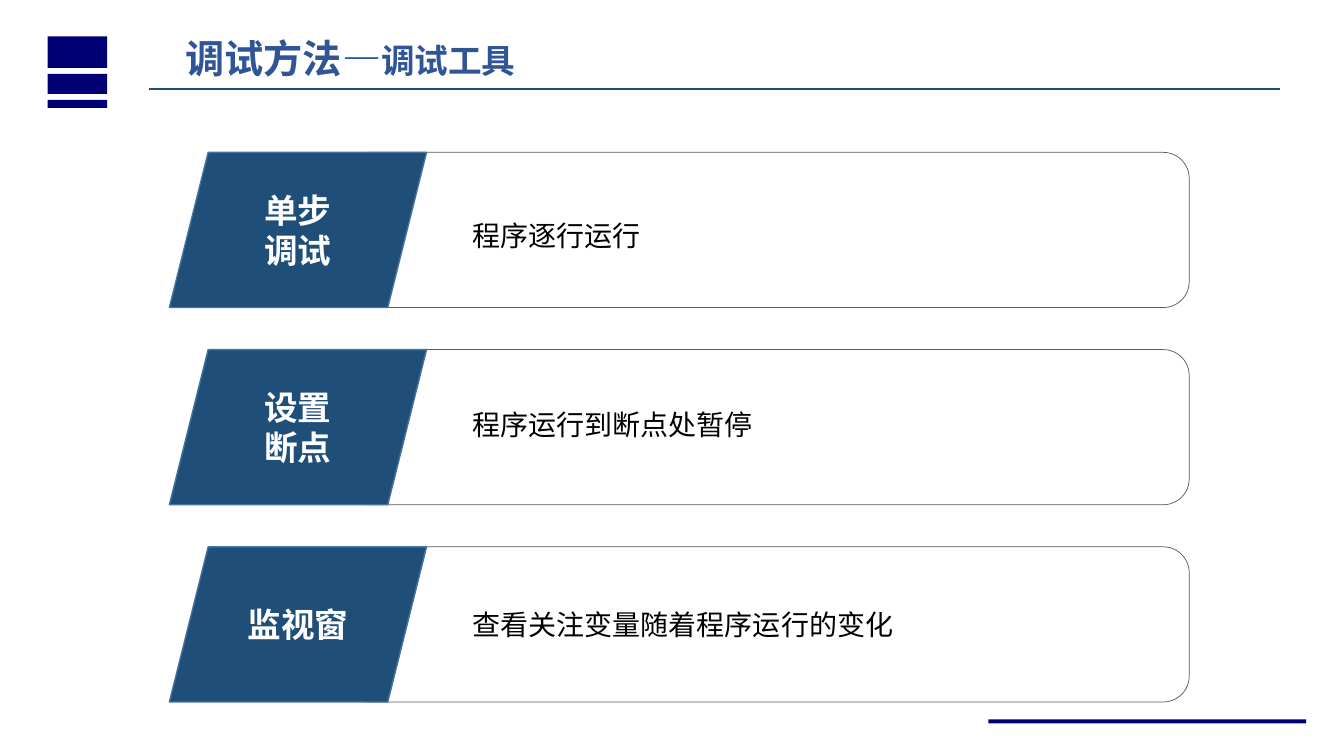
from dataclasses import dataclass

from lxml import etree
from pptx import Presentation
from pptx import util as u
from pptx.dml import color
from pptx.enum import shapes, text
from pptx.oxml import ns


@dataclass(frozen=True)
class Theme:
    font: str = "Noto Sans CJK SC"
    navy: str = "000074"
    title: str = "2F5597"
    tag: str = "1F4E79"
    edge: str = "43739E"
    frame: str = "595959"
    white: str = "FFFFFF"
    black: str = "000000"
    big: int = 28
    mid: int = 24
    body: int = 20


@dataclass(frozen=True)
class Box:
    left: float
    top: float
    width: float
    height: float

    def place(self) -> list:
        return [u.Cm(n) for n in (self.left, self.top, self.width, self.height)]


@dataclass(frozen=True)
class Tool:
    name: tuple
    note: str
    drop: float  # from the row's top to its note
    space: float = 1.0


THEME = Theme()
KIND = shapes.MSO_SHAPE
TOP, PITCH, HIGH = 3.84, 4.97, 3.91

BARS = [
    Box(1.2, 0.92, 1.5, 0.79),
    Box(1.2, 1.86, 1.5, 0.51),
    Box(1.2, 2.52, 1.5, 0.2),
    Box(24.91, 18.13, 8.01, 0.1),
]
TOOLS = [
    Tool(("单步", "调试"), "程序逐行运行", 1.25, 1.5),
    Tool(("设置", "断点"), "程序运行到断点处暂停", 1.45),
    Tool(("监视窗",), "查看关注变量随着程序运行的变化", 1.53),
]


def rgb(code: str) -> color.RGBColor:
    return color.RGBColor.from_string(code)


def write(para, words: str, *, size: int, ink: str, bold: bool = False,
          align=text.PP_ALIGN.LEFT, space: float = 1.0) -> None:
    """Add one run of text to a paragraph."""
    para.alignment = align
    para.line_spacing = space
    run = para.add_run()
    run.text = words
    font = run.font
    font.size, font.bold, font.name = u.Pt(size), bold, THEME.font
    font.color.rgb = rgb(ink)
    east = etree.SubElement(run._r.get_or_add_rPr(), ns.qn("a:ea"))
    east.set("typeface", THEME.font)


def draw(page, kind, box: Box, fill: str = "", line: str = "", wide: float = 1):
    """Add a preset shape, with no fill or line where none is given."""
    shape = page.shapes.add_shape(kind, *box.place())
    shape.shadow.inherit = False
    if fill:
        shape.fill.solid()
        shape.fill.fore_color.rgb = rgb(fill)
    else:
        shape.fill.background()
    if line:
        shape.line.color.rgb = rgb(line)
        shape.line.width = u.Pt(wide)
    else:
        shape.line.fill.background()
    return shape


def head(page) -> None:
    """Set the title and the rule below it."""
    title = page.shapes.title
    title.left, title.top, title.width, title.height = Box(4.42, 0.74, 14.45, 1.45).place()
    frame = title.text_frame
    frame.auto_size = text.MSO_AUTO_SIZE.NONE
    frame.vertical_anchor = text.MSO_ANCHOR.TOP
    para = frame.paragraphs[0]
    write(para, "调试方法—", size=THEME.big, ink=THEME.title, bold=True)
    write(para, "调试工具", size=THEME.mid, ink=THEME.title, bold=True)

    rule = page.shapes.add_connector(
        shapes.MSO_CONNECTOR.STRAIGHT, u.Cm(3.76), u.Cm(2.24), u.Cm(32.26), u.Cm(2.24))
    rule.line.color.rgb = rgb(THEME.tag)
    rule.line.width = u.Pt(1.25)
    etree.SubElement(rule._element.spPr, ns.qn("a:effectLst"))


def row(page, top: float, tool: Tool) -> None:
    """Draw a tool's frame, note and slanted tag."""
    draw(page, KIND.ROUNDED_RECTANGLE, Box(8.61, top, 21.36, HIGH),
         line=THEME.frame, wide=0.5)

    note = page.shapes.add_textbox(*Box(11.91, top + tool.drop, 16.8, 0.86).place())
    frame = note.text_frame
    frame.word_wrap = True
    frame.margin_left = frame.margin_right = frame.margin_top = frame.margin_bottom = 0
    write(frame.paragraphs[0], tool.note, size=THEME.body, ink=THEME.black,
          space=tool.space)

    tag = draw(page, KIND.PARALLELOGRAM, Box(4.27, top, 6.48, HIGH),
               fill=THEME.tag, line=THEME.edge)
    frame = tag.text_frame
    frame.vertical_anchor = text.MSO_ANCHOR.MIDDLE
    for i, words in enumerate(tool.name):
        para = frame.add_paragraph() if i else frame.paragraphs[0]
        write(para, words, size=THEME.mid, ink=THEME.white, bold=True,
              align=text.PP_ALIGN.CENTER)


deck = Presentation()
deck.slide_width, deck.slide_height = u.Cm(33.87), u.Cm(19.05)
page = deck.slides.add_slide(deck.slide_layouts.get_by_name("Title Only"))

# Navy bars in the corners
for bar in BARS:
    draw(page, KIND.RECTANGLE, bar, fill=THEME.navy)

# Title and rule
head(page)

# One row for each tool
for i, tool in enumerate(TOOLS):
    row(page, TOP + i * PITCH, tool)

deck.save("out.pptx")
